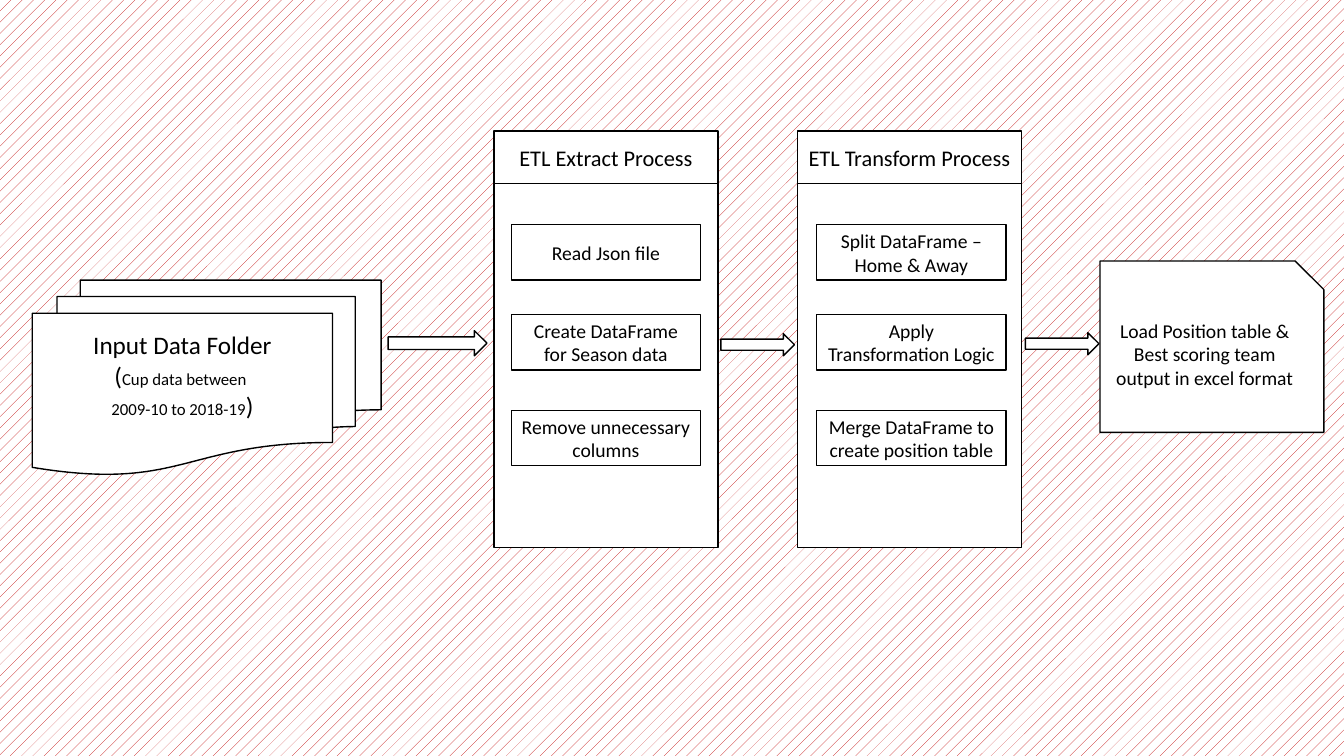
from pptx import Presentation
from pptx.dml.color import RGBColor
from pptx.enum import dml, shapes, text
from pptx.util import Inches, Pt

COLOURS = {"ink": "000000", "paper": "FFFFFF", "hatch": "C00000"}
FONT = "Calibri"
SHAPE = shapes.MSO_SHAPE
PROCESS_WIDTH, HEADER_HEIGHT, BODY_HEIGHT = 2.22, 0.52, 3.61
STEP_WIDTH, STEP_HEIGHT = 1.88, 0.55
STEP_TOPS = (0.93, 1.82, 2.77)  # measured from the top of the process


def colour(name):
    """Return the named colour."""
    return RGBColor.from_string(COLOURS[name])


def add_box(page, kind, box, paragraphs=()):
    """Draw an outlined shape; each paragraph is a list of (words, size) spans."""
    shape = page.shapes.add_shape(kind, *map(Inches, box))
    shape.shadow.inherit = False
    shape.fill.solid()
    shape.fill.fore_color.rgb = colour("paper")
    shape.line.color.rgb = colour("ink")
    shape.line.width = Pt(1)
    frame = shape.text_frame
    frame.word_wrap = True
    frame.vertical_anchor = text.MSO_ANCHOR.MIDDLE
    for index, spans in enumerate(paragraphs):
        para = frame.paragraphs[0] if index == 0 else frame.add_paragraph()
        para.alignment = text.PP_ALIGN.CENTER
        for words, size in spans:
            span = para.add_run()
            span.text = words
            span.font.name = FONT
            span.font.size = Pt(size)
            span.font.color.rgb = colour("ink")
    return shape


def paint_background(page):
    """Fill the page with the red dotted pattern."""
    fill = page.background.fill
    fill.patterned()
    fill.pattern = dml.MSO_PATTERN.PERCENT_10
    fill.fore_color.rgb = colour("hatch")
    fill.back_color.rgb = colour("paper")


def add_input_folder(page, box):
    """Draw the stack of input documents with its caption."""
    folder = add_box(page, SHAPE.FLOWCHART_MULTIDOCUMENT, box, [
        [("Input Data Folder", 18)],
        [("(", 18), ("Cup data between ", 12)],
        [("2009-10 to 2018-19", 12), (")", 18)],
    ])
    folder.text_frame.margin_bottom = Inches(0.35)


def add_process(page, left, top, title, steps, inset):
    """Draw a process: body, header and its steps, indented by inset."""
    add_box(page, SHAPE.RECTANGLE,
            (left, top + HEADER_HEIGHT, PROCESS_WIDTH, BODY_HEIGHT))
    add_box(page, SHAPE.RECTANGLE, (left, top, PROCESS_WIDTH, HEADER_HEIGHT),
            [[(title, 16)]])
    for step, offset in zip(steps, STEP_TOPS):
        add_box(page, SHAPE.RECTANGLE,
                (left + inset, top + offset, STEP_WIDTH, STEP_HEIGHT),
                [[(step, 14)]])


def add_output(page, box):
    """Draw the output card with its snipped corner."""
    add_box(page, SHAPE.SNIP_1_RECTANGLE, box, [[(
        "Load Position table & Best scoring team output in excel format", 14)]])


def add_arrows(page, boxes):
    """Draw the block arrows between the stages."""
    for box in boxes:
        add_box(page, SHAPE.RIGHT_ARROW, box)


def build_flow(page):
    """Lay out the ETL flow from input to output."""
    paint_background(page)
    add_input_folder(page, (0.32, 2.78, 3.46, 1.93))
    add_process(page, 4.9, 1.3, "ETL Extract Process", (
        "Read Json file",
        "Create DataFrame for Season data",
        "Remove unnecessary columns"), 0.17)
    add_process(page, 7.91, 1.3, "ETL Transform Process", (
        "Split DataFrame – Home & Away",
        "Apply Transformation Logic",
        "Merge DataFrame to create position table"), 0.19)
    add_output(page, (10.91, 2.59, 2.22, 1.7))
    add_arrows(page, [(3.85, 3.28, 0.98, 0.25),
                      (7.15, 3.31, 0.73, 0.22),
                      (10.17, 3.3, 0.73, 0.22)])


deck = Presentation()
deck.slide_width, deck.slide_height = Inches(13.33), Inches(7.5)
build_flow(deck.slides.add_slide(deck.slide_layouts[6]))
deck.save("out.pptx")
